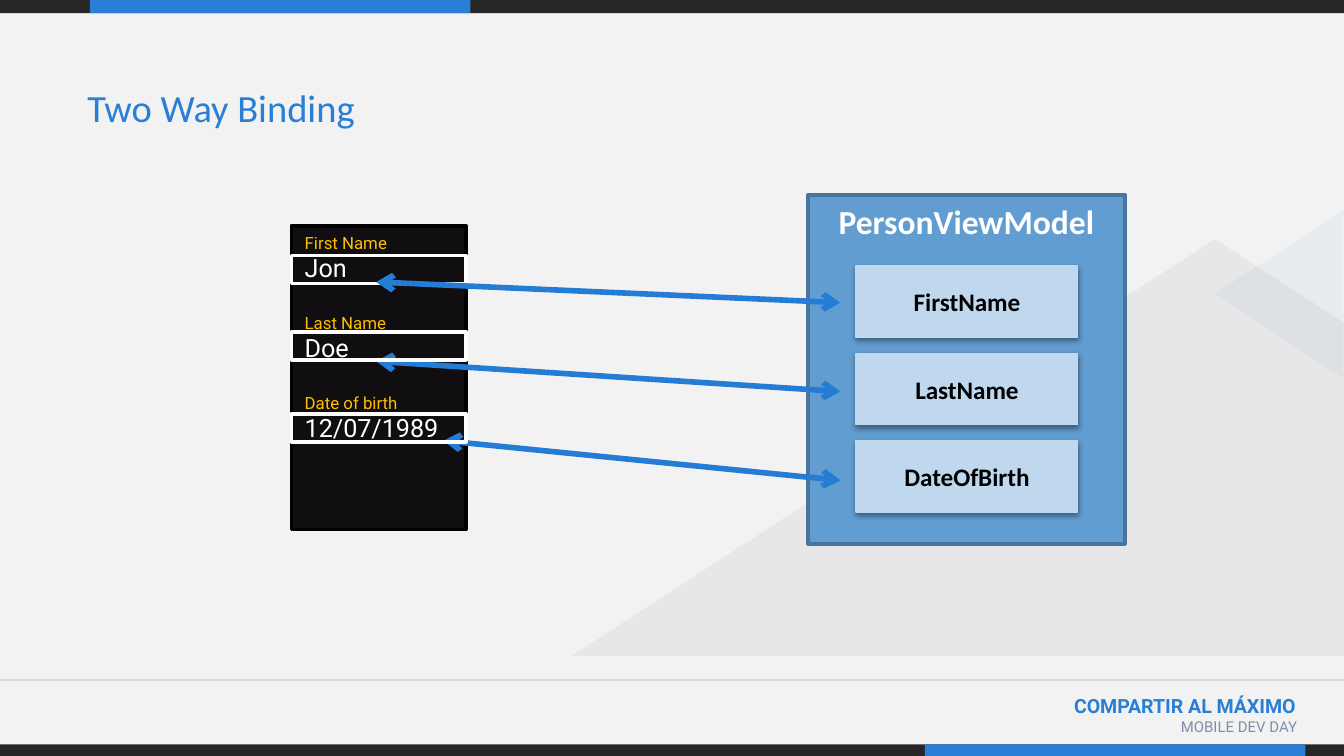
from pptx import Presentation
from pptx.dml.color import RGBColor as Rgb
from pptx.enum.shapes import MSO_CONNECTOR as Conn, MSO_SHAPE as Shape
from pptx.enum.text import MSO_ANCHOR as Anchor, PP_ALIGN as Align
from pptx.oxml import parse_xml
from pptx.oxml.ns import nsdecls
from pptx.util import Cm, Pt

WIDE, HIGH = 25.4, 14.29
COLORS = {
    "back": "F2F2F2", "dark": "262626", "blue": "297FD5", "rule": "D9D9D9",
    "slate": "7F8FA9", "model": "629DD1", "edge": "49749B", "field": "C0D8ED",
    "phone": "100E10", "black": "000000", "white": "FFFFFF",
    "amber": "FFC000", "arrow": "247CD5",
}
BARS = [
    (0, 0, WIDE, 0.25, "dark"), (1.7, 0, 7.19, 0.25, "blue"),
    (0, 14.07, WIDE, 0.22, "dark"), (17.48, 14.07, 7.19, 0.22, "blue"),
]
FOOTER = [
    ("COMPARTIR AL MÁXIMO", (17.15, 13, 7.59, 1.02), 10.5, "blue", True),
    ("MOBILE DEV DAY", (20.17, 13.44, 4.6, 0.79), 8, "slate", False),
]
HILL = [(25.4, 12.4), (25.4, 6.1), (22.96, 4.52), (10.8, 12.4)]
TITLE = "Two Way Binding"
MODEL = "PersonViewModel"
# label, value, property, top of input, arrow end at the input
ROWS = [
    ("First Name", "Jon", "FirstName", 4.83, (7.11, 5.33)),
    ("Last Name", "Doe", "LastName", 6.27, (7.11, 6.83)),
    ("Date of birth", "12/07/1989", "DateOfBirth", 7.82, (8.38, 8.33)),
]
PHONE = (5.51, 4.27, 3.3, 5.74)
FIELD_TOP, FIELD_STEP = 5.03, 1.65
ARROW_X, ARROW_TOP, ARROW_STEP = 15.88, 5.72, 1.68


def color(name):
    return Rgb.from_string(COLORS[name])


def paint(shape, fill=None, line=None, width=0.75, alpha=None):
    shape.shadow.inherit = False
    if fill:
        shape.fill.solid()
        shape.fill.fore_color.rgb = color(fill)
    else:
        shape.fill.background()
    if alpha:
        tint = shape.fill._xPr.find(".//{*}srgbClr")
        tint.append(parse_xml(f'<a:alpha {nsdecls("a")} val="{alpha * 1000}"/>'))
    if line:
        shape.line.color.rgb = color(line)
        shape.line.width = Pt(width)
    else:
        shape.line.fill.background()
    return shape


def box(slide, at, *look, kind=Shape.RECTANGLE, **more):
    return paint(slide.shapes.add_shape(kind, *map(Cm, at)), *look, **more)


def style(para, size, tone, face, bold=False, align=Align.LEFT):
    para.alignment = align
    for run in para.runs:
        font = run.font
        font.name, font.size, font.bold = face, Pt(size), bold
        font.color.rgb = color(tone)


def write(shape, text, *look, anchor=Anchor.TOP, **more):
    frame = shape.text_frame
    frame.word_wrap = True
    frame.vertical_anchor = anchor
    frame.text = text
    style(frame.paragraphs[0], *look, **more)
    return frame


def cast(shape):
    """Give the shape a soft shadow straight below it."""
    props = shape._element.spPr
    props.find("{*}effectLst").append(parse_xml(
        f'<a:outerShdw {nsdecls("a")} blurRad="{Pt(3.1)}" dist="{Pt(1.6)}" '
        'dir="5400000" rotWithShape="0"><a:srgbClr val="000000">'
        '<a:alpha val="38000"/></a:srgbClr></a:outerShdw>'))


def link(slide, start, end, tone, width, heads=False):
    line = slide.shapes.add_connector(Conn.STRAIGHT, *map(Cm, start + end))
    line.line.color.rgb = color(tone)
    line.line.width = Pt(width)
    if heads:
        stroke = line.line._get_or_add_ln()
        for tag in ("headEnd", "tailEnd"):
            stroke.append(parse_xml(f'<a:{tag} {nsdecls("a")} type="arrow"/>'))
    line._element.spPr.append(parse_xml(f'<a:effectLst {nsdecls("a")}/>'))


def scene(slide):
    """Draw the bars, footer and hills behind the diagram."""
    for *at, tone in BARS:
        box(slide, at, tone)
    for text, at, size, tone, bold in FOOTER:
        area = slide.shapes.add_textbox(*map(Cm, at))
        write(area, text, size, tone, "Roboto", bold, align=Align.RIGHT)
    link(slide, (0, 12.85), (WIDE, 12.85), "rule", 0.75)
    first, *rest = [(Cm(x), Cm(y)) for x, y in HILL]
    path = slide.shapes.build_freeform(*first)
    path.add_line_segments(rest)
    paint(path.convert_to_shape(), "dark", alpha=5)
    peak = box(slide, (22.58, 4.34, 3.18, 2.44), "blue",
               kind=Shape.ISOSCELES_TRIANGLE, alpha=5)
    peak.rotation = 270


def model(slide):
    card = box(slide, (15.27, 3.68, 5.99, 6.6), "model", "edge", 2)
    write(card, MODEL, 18, "white", "Calibri", True, align=Align.CENTER)
    for i, row in enumerate(ROWS):
        at = (16.18, FIELD_TOP + i * FIELD_STEP, 4.19, 1.35)
        field = box(slide, at, "field", "field")
        cast(field)
        write(field, row[2], 13.5, "black", "Calibri", True,
              align=Align.CENTER, anchor=Anchor.MIDDLE)


def phone(slide):
    frame = box(slide, PHONE, "phone", "black", 2).text_frame
    frame.word_wrap = True
    frame.vertical_anchor = Anchor.TOP
    frame.text = "\n".join(f"{label}\n{value}" for label, value, *_ in ROWS)
    for i, para in enumerate(frame.paragraphs):
        size, tone = (13.5, "white") if i % 2 else (9, "amber")
        style(para, size, tone, "Roboto")
        if i and i % 2 == 0:
            para.space_before = Pt(15.8)


def entry(slide, top):
    box(slide, (PHONE[0], top, PHONE[2], 0.53), None, "white", 2)


def main():
    deck = Presentation()
    deck.slide_width, deck.slide_height = Cm(WIDE), Cm(HIGH)
    slide = deck.slides.add_slide(deck.slide_layouts[6])
    slide.background.fill.solid()
    slide.background.fill.fore_color.rgb = color("back")
    scene(slide)

    title = slide.shapes.add_textbox(*map(Cm, (1.47, 1.57, 19.79, 0.91)))
    frame = write(title, TITLE, 20.6, "blue", "Calibri", anchor=Anchor.MIDDLE)
    frame.margin_left = frame.margin_right = Cm(0.18)
    frame.margin_top = frame.margin_bottom = Cm(0.1)

    model(slide)
    phone(slide)
    tops = [row[3] for row in ROWS]
    entry(slide, tops[0])
    for i, row in enumerate(ROWS):
        start = (ARROW_X, ARROW_TOP + i * ARROW_STEP)
        link(slide, start, row[4], "arrow", 3, heads=True)
    for top in tops[1:]:
        entry(slide, top)
    deck.save("out.pptx")


if __name__ == "__main__":
    main()
